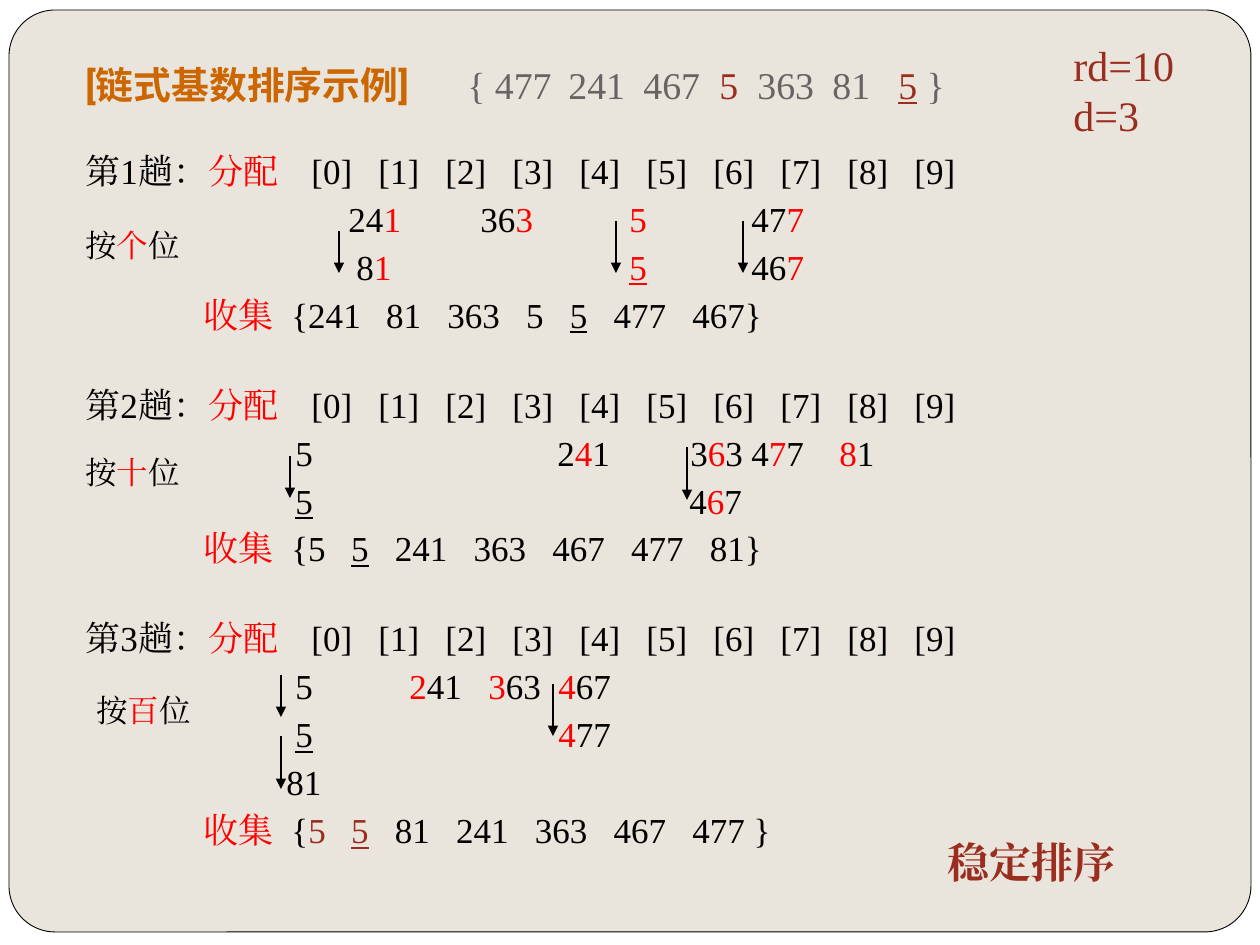
import pptx
import pptx.dml.color
import pptx.enum.shapes
import pptx.enum.text
import pptx.oxml.ns
import pptx.util
from lxml import etree

SERIF = "Times New Roman"
RED, BROWN, GREY, BLACK = "FF0000", "9B2D1F", "696464", "000000"
STYLES = {
    "k": (BLACK, False), "u": (BLACK, True),
    "r": (RED, False), "v": (RED, True),
    "b": (BROWN, False), "w": (BROWN, True),
    "g": (GREY, False),
}
DIGIT, GAP = 17.5, 26.25
PASS_PITCH = 234

PASSES = [
    dict(
        digit="个", label=(0, 73),
        rows=[
            [(263, "24^r1"), (395, "36^r3"), (544, "^r5"), (666, "47^r7")],
            [(271, "8^r1"), (544, "^v5"), (666, "46^r7")],
        ],
        collected=["241", "81", "363", "5", "^u5", "477", "467^k}"],
        arrows=[(543, 74, 126), (266, 84, 126), (670, 74, 126)],
    ),
    dict(
        digit="十", label=(0, 66),
        rows=[
            [(210, "5"), (472, "2^r4^k1"), (605, "3^r6^k3"), (666, "4^r7^k7"), (754, "^r8^k1")],
            [(210, "^u5"), (604, "4^r6^k7")],
        ],
        collected=["5", "^u5", "241", "363", "467", "477", "81^k}"],
        arrows=[(217, 75, 117), (614, 66, 119)],
    ),
    dict(
        digit="百", label=(11, 70),
        rows=[
            [(210, "5"), (324, "^r2^k41"), (403, "^r3^k63"), (473, "^r4^k67")],
            [(210, "^u5"), (473, "^r4^k77")],
            [(201, "81")],
        ],
        collected=["^b5", "^w5", "81", "241", "363", "467", "477^k }"],
        arrows=[(208, 60, 102), (480, 69, 121), (208, 121, 174)],
    ),
]


def px(n):
    """Turn slide pixels into EMU."""
    return pptx.util.Emu(round(n * 914400 / 126))


def rgb(value):
    """Turn a hex string into a colour."""
    return pptx.dml.color.RGBColor.from_string(value)


def add_run(p, text, size, color, name=SERIF, bold=False, underline=False):
    """Add a run with one font for Latin and East Asian text."""
    r = p.add_run()
    r.text = text
    r.font.size, r.font.name, r.font.bold = pptx.util.Pt(size), name, bold
    r.font.color.rgb = rgb(color)
    if underline:
        r.font.underline = True
    ea = etree.SubElement(r.font._element, pptx.oxml.ns.qn("a:ea"))
    ea.set("typeface", name)


def add_marked(p, text, size, style="k"):
    """Add runs from text where a caret and a letter switch the style."""
    for i, part in enumerate(text.split("^")):
        if i:
            style, part = part[0], part[1:]
        if part:
            color, underline = STYLES[style]
            add_run(p, part, size, color, underline=underline)


def add_cells(p, cells, size, style="k"):
    """Add each cell's text at its own tab stop."""
    tabs = etree.SubElement(p._p.get_or_add_pPr(), pptx.oxml.ns.qn("a:tabLst"))
    for x, text in cells:
        tab = etree.SubElement(tabs, pptx.oxml.ns.qn("a:tab"))
        tab.set("pos", str(px(x)))
        tab.set("algn", "l")
        add_marked(p, "\t" + text, size, style)


def add_text(slide, left, top, width, height, wrap=True):
    """Add an empty text box and return its text frame."""
    tf = slide.shapes.add_textbox(px(left), px(top), px(width), px(height)).text_frame
    tf.word_wrap = wrap
    return tf


def add_panel(slide, left, top, width, height):
    """Draw the rounded panel behind the content."""
    sp = slide.shapes.add_shape(
        pptx.enum.shapes.MSO_SHAPE.ROUNDED_RECTANGLE,
        px(left), px(top), px(width), px(height))
    sp.adjustments[0] = 0.05
    sp.shadow.inherit = False
    sp.fill.solid()
    sp.fill.fore_color.rgb = rgb("E9E5DC")
    sp.line.color.rgb = rgb(BLACK)
    sp.line.width = pptx.util.Pt(0.5)


def add_title(slide, left, top, width, height):
    """Write the heading and the unsorted list."""
    tf = add_text(slide, left, top, width, height)
    tf.vertical_anchor = pptx.enum.text.MSO_ANCHOR.MIDDLE
    p = tf.paragraphs[0]
    add_run(p, "[链式基数排序示例]", 21.6, "CC6600", "Roboto", True)
    add_cells(p, [
        (382, "{ 477"), (483, "241"), (558, "467"), (634, "^b5"),
        (672, "363"), (747, "81"), (813, "^w5^g }"),
    ], 21.6, "g")


def collect_cells(items):
    """Place collected numbers one fixed gap apart."""
    cells, x = [(118, "^r收集"), (206, "{" + items[0])], 222
    for previous, item in zip(items, items[1:]):
        x += DIGIT * sum(c.isdigit() for c in previous) + GAP
        cells.append((x, item))
    return cells


def add_body(slide, left, top, width, height):
    """Write the distribute and collect lines of every pass."""
    tf = add_text(slide, left, top, width, height)
    buckets = [(226 + 67 * i, f"[{i}]") for i in range(10)]
    for number, item in enumerate(PASSES, 1):
        lines = [buckets, *item["rows"], collect_cells(item["collected"])]
        for cells in lines:
            heading = cells is buckets
            first = heading and number == 1
            p = tf.paragraphs[0] if first else tf.add_paragraph()
            p.line_spacing = pptx.util.Pt(21.7)
            p.space_before = pptx.util.Pt(0 if first else 29.7 if heading else 5.7)
            if heading:
                add_marked(p, f"第{number}趟：^r分配", 20)
            add_cells(p, cells, 20)


def add_arrow(slide, x, top, bottom):
    """Draw a downward arrow."""
    line = slide.shapes.add_connector(
        pptx.enum.shapes.MSO_CONNECTOR.STRAIGHT, px(x), px(top), px(x), px(bottom))
    line.line.color.rgb = rgb(BLACK)
    line.line.width = pptx.util.Pt(0.75)
    tail = etree.SubElement(line.line._get_or_add_ln(), pptx.oxml.ns.qn("a:tailEnd"))
    tail.set("type", "triangle")
    etree.SubElement(line._element.spPr, pptx.oxml.ns.qn("a:effectLst"))


def add_pass_marks(slide, left, top, item):
    """Add the digit label and queue arrows of one pass."""
    for x, start, end in item["arrows"]:
        add_arrow(slide, left + x, top + start, top + end)
    x, y = item["label"]
    tf = add_text(slide, left + x, top + y, 120, 50, wrap=False)
    add_marked(tf.paragraphs[0], f"按^r{item['digit']}^k位", 18)


def add_note(slide, left, top, width, height, text, bold=False):
    """Write a brown side note."""
    tf = add_text(slide, left, top, width, height)
    add_run(tf.paragraphs[0], text, 24, BROWN, bold=bold)


def main():
    """Build and save the slide."""
    prs = pptx.Presentation()
    prs.slide_width, prs.slide_height = px(1260), px(945)
    slide = prs.slides.add_slide(prs.slide_layouts[6])
    slide.background.fill.solid()
    slide.background.fill.fore_color.rgb = rgb("FFFFFF")
    add_panel(slide, 9, 10, 1242, 922)
    add_title(slide, 73, 63, 1071, 42)
    add_body(slide, 73, 147, 1113, 772)
    add_note(slide, 1061, 33, 147, 115, "rd=10 d=3")
    add_note(slide, 935, 830, 210, 63, "稳定排序", bold=True)
    for i, item in enumerate(PASSES):
        add_pass_marks(slide, 73, 147 + i * PASS_PITCH, item)
    prs.save("out.pptx")


if __name__ == "__main__":
    main()
